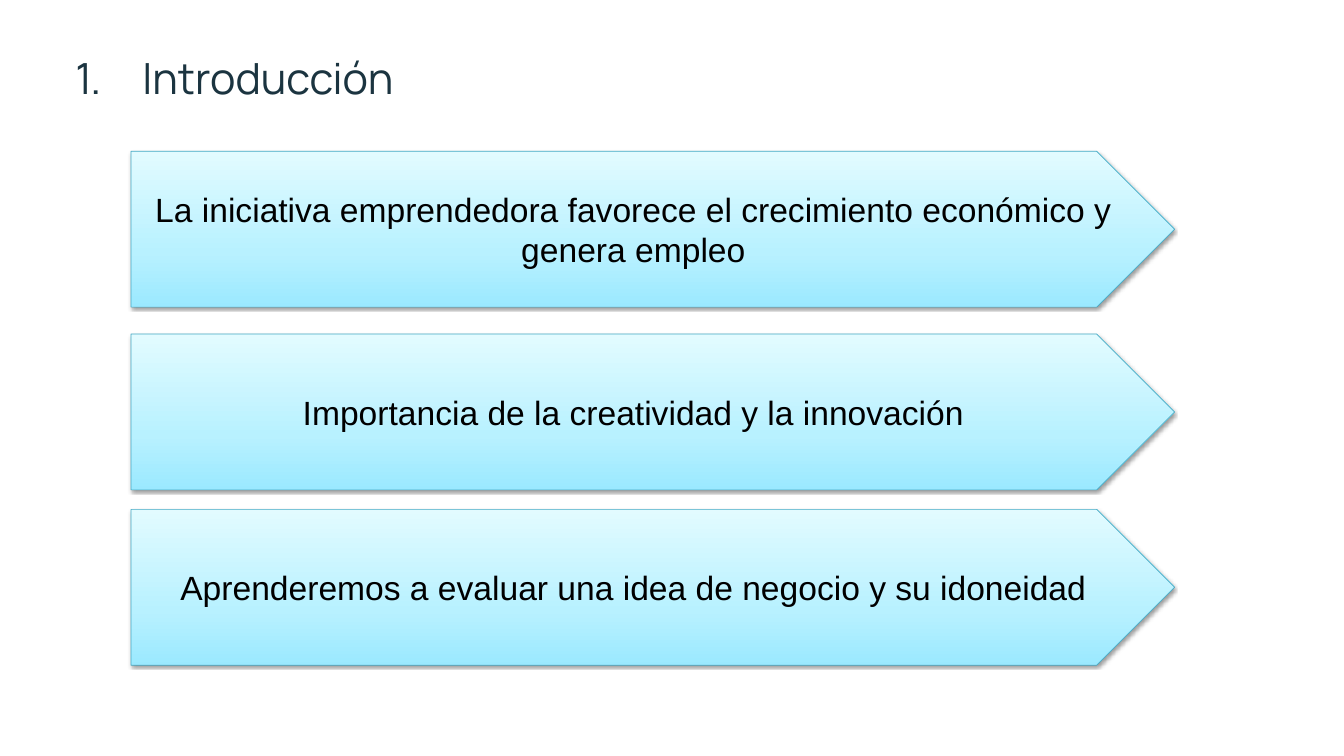
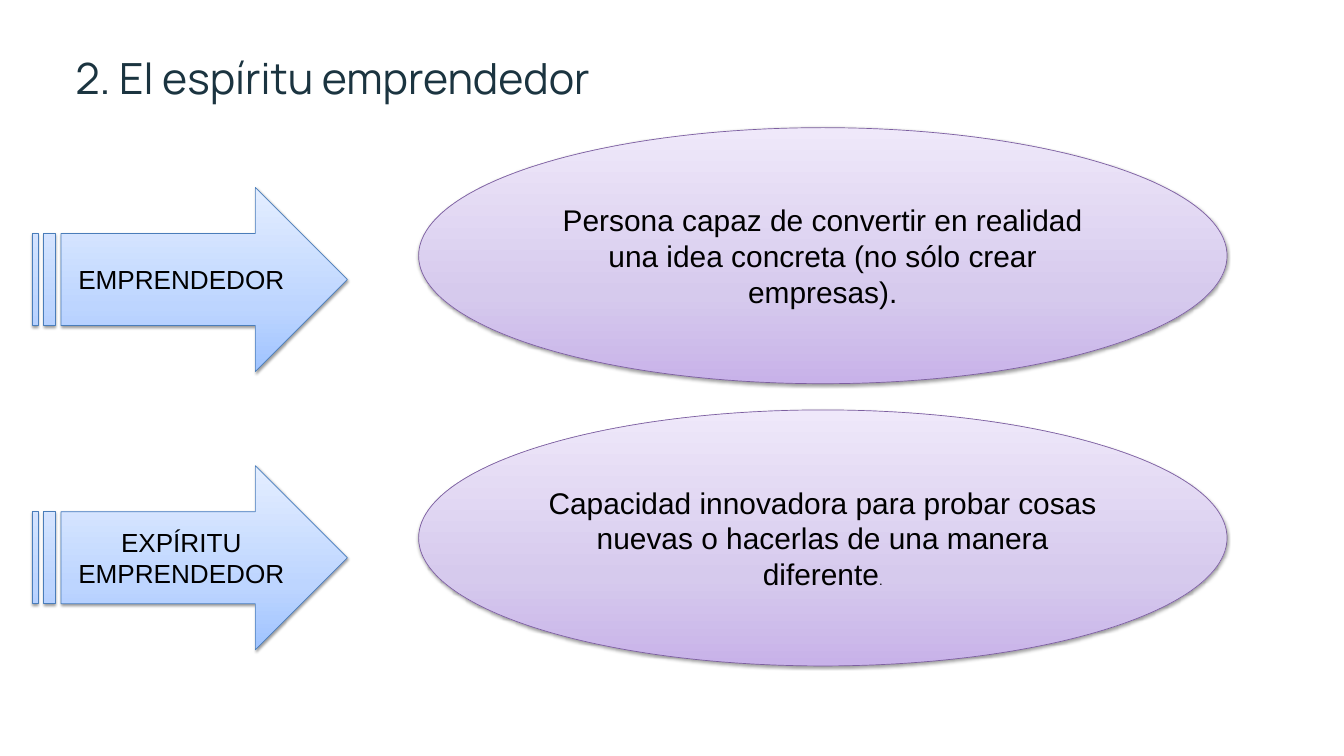
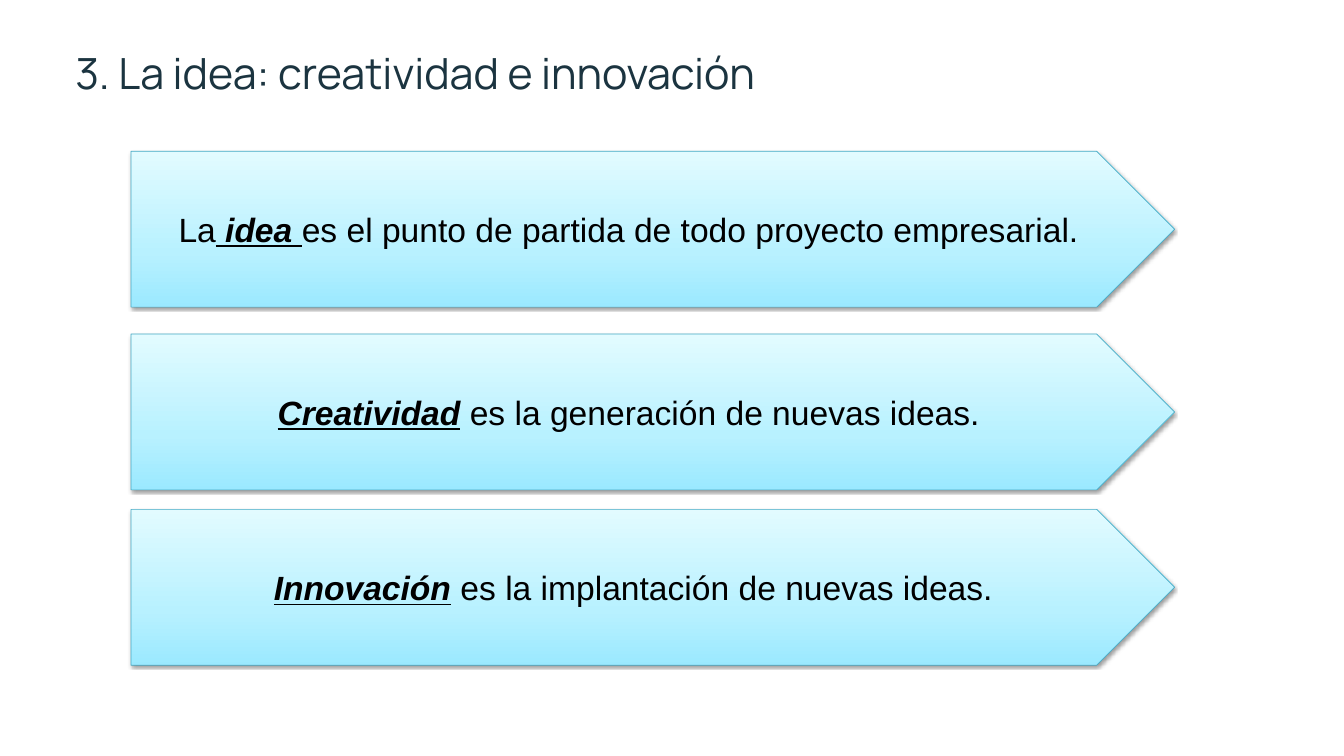
from lxml.etree import SubElement
from pptx import Presentation
from pptx.dml.color import RGBColor
from pptx.enum.shapes import MSO_SHAPE
from pptx.enum.text import MSO_ANCHOR, MSO_AUTO_SIZE, PP_ALIGN
from pptx.oxml.ns import qn
from pptx.util import Inches, Pt

TITLE_COLOR = "1B3440"
TEXT_COLOR = "000000"
STRONG = {"bold": True, "italic": True, "underline": True}

PENTAGON = {
    "preset": MSO_SHAPE.PENTAGON, "left": 1.95, "width": 15.53, "height": 2.32,
    "size": 36, "line": "45A9C4", "stops": ("9BE9FF", "B8F1FF", "E2FBFF"),
    "tops": (2.25, 4.97, 7.58),
}
ARROW = {
    "preset": MSO_SHAPE.STRIPED_RIGHT_ARROW, "left": 0.48, "width": 4.69, "height": 2.74,
    "size": 28, "line": "4A7DBA", "stops": ("9FC3FF", "BDD5FF", "E4EEFF"),
    "tops": (2.79, 6.93),
}
ELLIPSE = {
    "preset": MSO_SHAPE.OVAL, "left": 6.23, "width": 12.03, "height": 3.81,
    "size": 32, "line": "7C5F9F", "stops": ("C8B2E9", "D6CAED", "EFE8FA"),
    "tops": (1.9, 6.1),
}
STOP_POSITIONS = (0, 35, 100)

SLIDES = [
    {
        "title": "Introducción", "title_top": 0.46, "numbered": True,
        "groups": [(PENTAGON, [
            [("La iniciativa emprendedora favorece el crecimiento económico y genera empleo", {})],
            [("Importancia de la creatividad y la innovación", {})],
            [("Aprenderemos a evaluar una idea de negocio y su idoneidad", {})],
        ])],
    },
    {
        "title": "2. El espíritu emprendedor", "title_top": 0.46, "numbered": False,
        "groups": [
            (ARROW, [
                [("EMPRENDEDOR", {})],
                [("EXPÍRITU EMPRENDEDOR", {})],
            ]),
            (ELLIPSE, [
                [("Persona capaz de convertir en realidad una idea concreta (no sólo crear empresas).", {})],
                [("Capacidad innovadora para probar cosas nuevas o hacerlas de una manera diferente", {}),
                 (".", {"size": Pt(14)})],
            ]),
        ],
    },
    {
        "title": "3. La idea: creatividad e innovación", "title_top": 0.38, "numbered": False,
        "groups": [(PENTAGON, [
            [("La", {}), (" idea ", STRONG),
             ("es el punto de partida de todo proyecto empresarial. ", {})],
            [("Creatividad", STRONG), (" es la generación de nuevas ideas. ", {})],
            [("Innovación", STRONG), (" es la implantación de nuevas ideas.", {})],
        ])],
    },
]


def color(value):
    return RGBColor.from_string(value)


def set_attributes(target, values):
    for name, value in values.items():
        setattr(target, name, value)


def add_run(paragraph, text, font_name, size, font_color, style):
    run = paragraph.add_run()
    run.text = text
    set_attributes(run.font, {"name": font_name, "size": Pt(size), **style})
    run.font.color.rgb = color(font_color)


def add_number(paragraph):
    properties = paragraph._p.get_or_add_pPr()
    properties.set("marL", str(Inches(1)))
    properties.set("indent", str(Inches(-1)))
    bullet_color = SubElement(properties, qn("a:buClr"))
    SubElement(bullet_color, qn("a:srgbClr"), val=TITLE_COLOR)
    SubElement(properties, qn("a:buAutoNum"), type="arabicPeriod")


def add_title(slide, content):
    title = slide.shapes.title
    set_attributes(title, {
        "left": Inches(1.12), "top": Inches(content["title_top"]),
        "width": Inches(15.92), "height": Inches(1.08),
    })
    set_attributes(title.text_frame, {
        "margin_left": 0, "margin_top": 0, "margin_right": 0, "margin_bottom": 0,
        "word_wrap": True, "vertical_anchor": MSO_ANCHOR.TOP,
        "auto_size": MSO_AUTO_SIZE.SHAPE_TO_FIT_TEXT,
    })
    paragraph = title.text_frame.paragraphs[0]
    set_attributes(paragraph, {"alignment": PP_ALIGN.LEFT, "line_spacing": 1.4})
    if content["numbered"]:
        add_number(paragraph)
    add_run(paragraph, content["title"], "Manrope", 46, TITLE_COLOR, {})


def fill_gradient(shape, stops):
    shape.fill.gradient()
    shape.fill.gradient_angle = 90
    stop_list = shape._element.spPr.find(qn("a:gradFill")).find(qn("a:gsLst"))
    for stop in list(stop_list):
        stop_list.remove(stop)
    for position, value in zip(STOP_POSITIONS, stops):
        stop = SubElement(stop_list, qn("a:gs"), pos=str(position * 1000))
        SubElement(stop, qn("a:srgbClr"), val=value)


def add_shadow(shape):
    shape.shadow.inherit = False
    effects = shape._element.spPr.find(qn("a:effectLst"))
    shadow = SubElement(effects, qn("a:outerShdw"), blurRad=str(Pt(3.1)),
                        dist=str(Pt(1.6)), dir="5400000", rotWithShape="0")
    shadow_color = SubElement(shadow, qn("a:srgbClr"), val="000000")
    SubElement(shadow_color, qn("a:alpha"), val="38000")


def add_block(slide, block, top, runs):
    shape = slide.shapes.add_shape(
        block["preset"], Inches(block["left"]), Inches(top),
        Inches(block["width"]), Inches(block["height"]))
    fill_gradient(shape, block["stops"])
    shape.line.color.rgb = color(block["line"])
    shape.line.width = Pt(0.75)
    add_shadow(shape)
    set_attributes(shape.text_frame, {"word_wrap": True, "vertical_anchor": MSO_ANCHOR.MIDDLE})
    paragraph = shape.text_frame.paragraphs[0]
    paragraph.alignment = PP_ALIGN.CENTER
    for text, style in runs:
        add_run(paragraph, text, "Arial", block["size"], TEXT_COLOR, style)


def main():
    presentation = Presentation()
    set_attributes(presentation, {"slide_width": Inches(20), "slide_height": Inches(11.25)})
    for content in SLIDES:
        slide = presentation.slides.add_slide(presentation.slide_layouts[5])
        add_title(slide, content)
        for block, texts in content["groups"]:
            for top, runs in zip(block["tops"], texts):
                add_block(slide, block, top, runs)
    presentation.save("out.pptx")


if __name__ == "__main__":
    main()
